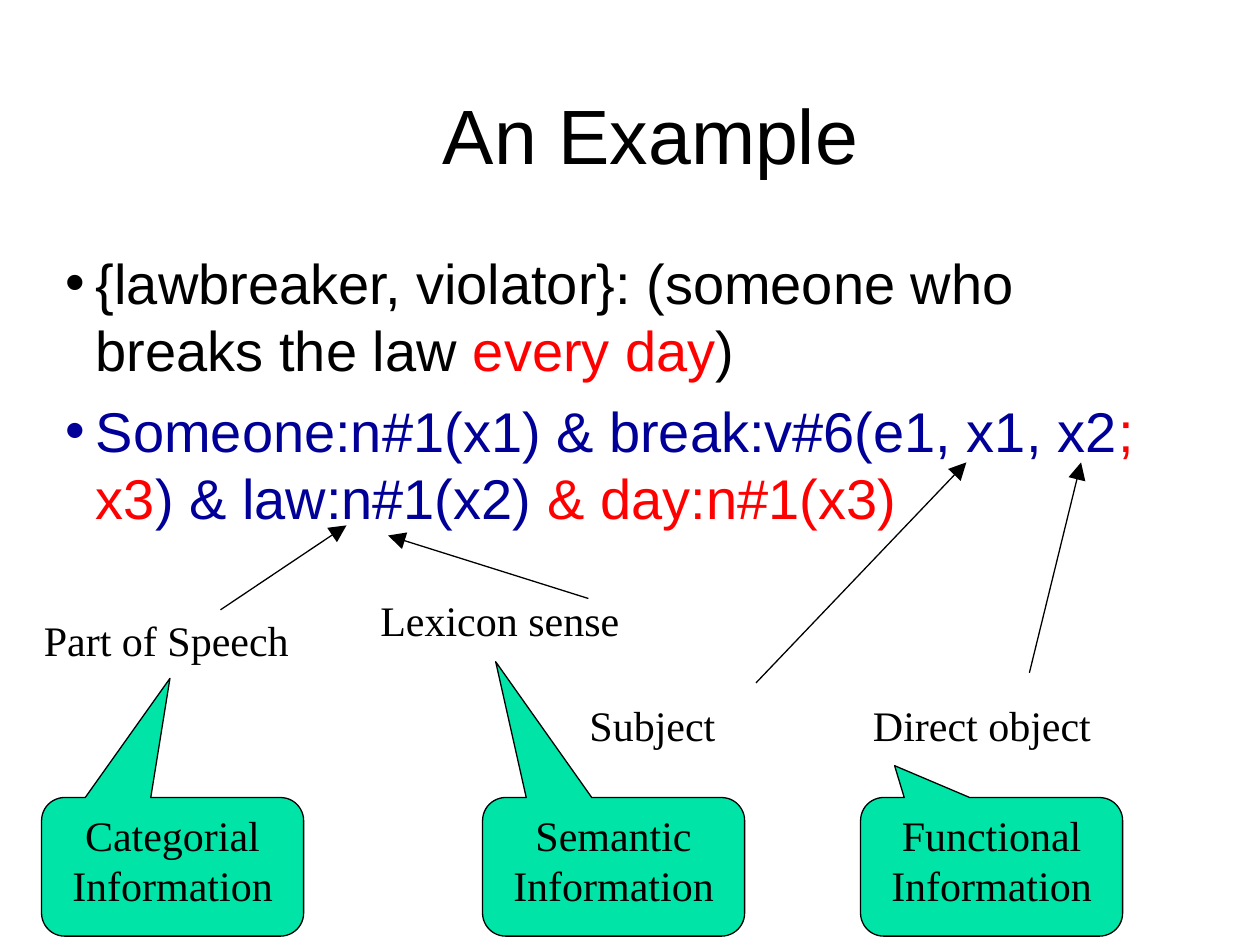
from pptx import Presentation
from pptx.dml.color import RGBColor
from pptx.enum.shapes import MSO_CONNECTOR, MSO_SHAPE
from pptx.enum.text import MSO_ANCHOR, MSO_AUTO_SIZE, PP_ALIGN
from pptx.oxml.ns import qn
from pptx.util import Inches, Pt
from lxml.etree import SubElement

BLACK, RED, NAVY, GREEN = "000000", "FF0000", "000099", "00E4A8"


def rgb(value):
    return RGBColor.from_string(value)


def add_run(p, text, size, font, color=BLACK):
    r = p.add_run()
    r.text = text
    r.font.size = Pt(size)
    r.font.name = font
    r.font.color.rgb = rgb(color)


prs = Presentation()
prs.slide_width, prs.slide_height = Inches(10), Inches(7.5)
s = prs.slides.add_slide(prs.slide_layouts[1])

# Title
title = s.shapes.title
title.left, title.top = Inches(0.86), Inches(0.59)
title.width, title.height = Inches(8.61), Inches(0.89)
tf = title.text_frame
tf.auto_size = MSO_AUTO_SIZE.NONE
tf.vertical_anchor = MSO_ANCHOR.BOTTOM
p = tf.paragraphs[0]
p.alignment = PP_ALIGN.CENTER
add_run(p, "An Example", 44, "Arial")

# Gloss and its logic form
bullets = [
    [("{lawbreaker, violator}: (someone who breaks the law ", BLACK),
     ("every day", RED), (")", BLACK)],
    [("Someone:n#1(x1) & break:v#6(e1, x1, x2", NAVY), ("; x3", RED),
     (") & law:n#1(x2) ", NAVY), ("& day:n#1(x3)", RED)],
]
body = s.placeholders[1]
body.left, body.top = Inches(0.42), Inches(1.92)
body.width, body.height = Inches(9.09), Inches(3.93)
tf = body.text_frame
tf.auto_size = MSO_AUTO_SIZE.NONE
for i, runs in enumerate(bullets):
    p = tf.add_paragraph() if i else tf.paragraphs[0]
    p.space_before = Pt(7.9)
    pPr = p._p.get_or_add_pPr()
    pPr.set("marL", str(Inches(0.24)))
    pPr.set("indent", str(-Inches(0.24)))
    bu_clr = SubElement(pPr, qn("a:buClr"))
    SubElement(bu_clr, qn("a:srgbClr"), val=runs[0][1])
    SubElement(pPr, qn("a:buFont"), typeface="Arial")
    SubElement(pPr, qn("a:buChar"), char="•")
    for text, color in runs:
        add_run(p, text, 32, "Arial", color)

# Labels, each with an arrow to the part it names
labels = [
    ("Part of Speech", 0.25, 4.83, 2.33, (1.75, 4.84, 2.75, 4.17)),
    ("Lexicon sense", 2.92, 4.67, 2.33, (4.67, 4.75, 3.08, 4.25)),
    ("Subject", 4.58, 5.5, 1.25, (6, 5.42, 7.67, 3.67)),
    ("Direct object", 6.83, 5.5, 2.08, (8.17, 5.34, 8.58, 3.67)),
]
for text, left, top, width, ends in labels:
    sp = s.shapes.add_textbox(Inches(left), Inches(top), Inches(width), Inches(0.5))
    sp.text_frame.word_wrap = True
    add_run(sp.text_frame.paragraphs[0], text, 24, "Times New Roman")

    arrow = s.shapes.add_connector(MSO_CONNECTOR.STRAIGHT, *map(Inches, ends))
    arrow.line.color.rgb = rgb(BLACK)
    arrow.line.width = Pt(0.75)
    SubElement(arrow.line._get_or_add_ln(), qn("a:tailEnd"),
               type="triangle", w="lg", len="lg")
    SubElement(arrow._element.spPr, qn("a:effectLst"))

# Callouts: text, left, pointer offset from the centre as shares of the size
callouts = [
    ("Categorial Information", 0.33, -0.01, -1.36),
    ("Semantic Information", 3.83, -0.45, -1.48),
    ("Functional Information", 6.83, -0.37, -0.73),
]
for text, left, dx, dy in callouts:
    sp = s.shapes.add_shape(MSO_SHAPE.ROUNDED_RECTANGULAR_CALLOUT,
                            Inches(left), Inches(6.33), Inches(2.08), Inches(1.1))
    sp.adjustments[0], sp.adjustments[1] = dx, dy
    sp.shadow.inherit = False
    sp.fill.solid()
    sp.fill.fore_color.rgb = rgb(GREEN)
    sp.line.color.rgb = rgb(BLACK)
    sp.line.width = Pt(0.75)
    tf = sp.text_frame
    tf.word_wrap = True
    tf.vertical_anchor = MSO_ANCHOR.TOP
    tf.margin_top = Inches(0.04)
    p = tf.paragraphs[0]
    p.alignment = PP_ALIGN.CENTER
    add_run(p, text, 24, "Times New Roman")

prs.save("out.pptx")
